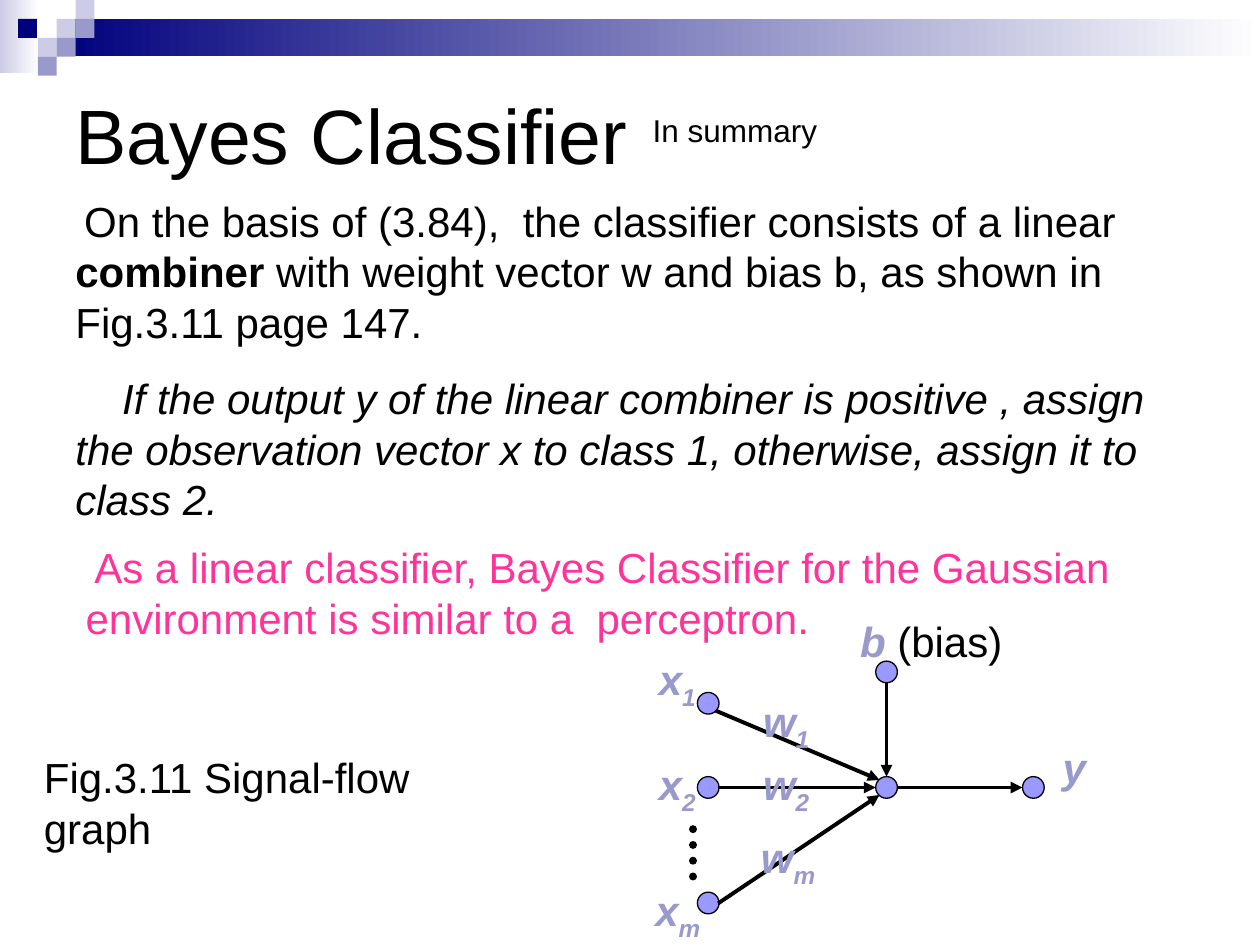
from lxml import etree
from pptx import Presentation
from pptx.dml.color import RGBColor
from pptx.enum.dml import MSO_LINE
from pptx.enum.shapes import MSO_CONNECTOR, MSO_SHAPE
from pptx.enum.text import MSO_ANCHOR, PP_ALIGN
from pptx.oxml.ns import qn
from pptx.util import Pt

STRAIGHT = MSO_CONNECTOR.STRAIGHT
RECTANGLE, OVAL = MSO_SHAPE.RECTANGLE, MSO_SHAPE.OVAL
DOTTED = MSO_LINE.ROUND_DOT
LEFT, CENTER = PP_ALIGN.LEFT, PP_ALIGN.CENTER
TOP, MIDDLE = MSO_ANCHOR.TOP, MSO_ANCHOR.MIDDLE

FONT = "Arial"
BLACK, WHITE, PINK = "000000", "FFFFFF", "FF3399"
NAVY, LAVENDER, PALE, NODE_BLUE = "00007D", "9999CC", "CCCCE6", "9999FF"

SQUARE = 10.8
NODE_SIZE = 12.4
LABEL_SLACK = 4
SQUARES = [
    (32.4, 10.8, PALE), (43.2, 0, PALE), (43.2, 10.8, LAVENDER),
    (21.6, 21.6, PALE), (10.3, 10.8, NAVY), (32.4, 21.6, LAVENDER),
    (21.6, 32.4, LAVENDER),
]
NODES = [(398.5, 395.7), (398.5, 509.8), (398.5, 443.8),
         (500.4, 443.8), (500.4, 377.8), (584.3, 443.8)]
ARROWS = [
    (410.4, 516.2, 502.6, 454.3), (410.4, 450, 500.4, 450),
    (409, 406.1, 502.6, 445.7), (506.6, 390.2, 506.6, 443.8),
    (512.6, 450, 584.3, 450),
]
SUBSCRIPTED = [
    ("x", "1", 369.4, 369.8, 35.3), ("x", "2", 369.4, 429.8, 35.3),
    ("x", "m", 367.2, 501.8, 40.3), ("w", "2", 429.1, 429.8, 40.3),
    ("w", "1", 429.1, 393.8, 40.3), ("w", "m", 427.7, 471.6, 45.4),
]


def color(value):
    return RGBColor.from_string(value)


def add_span(para, text, size=24, fill=BLACK, bold=False, italic=False, subscript=False):
    span = para.add_run()
    span.text = text
    font = span.font
    font.name, font.size, font.bold, font.italic = FONT, Pt(size), bold, italic
    font.color.rgb = color(fill)
    if subscript:
        font._element.set("baseline", "-25000")


def format_para(para, size=None, align=LEFT, before=0, indent=0):
    para.alignment = align
    para.space_before = Pt(before)
    if size:
        para.line_spacing = Pt(size * 1.2)
    if indent:
        properties = para._p.get_or_add_pPr()
        properties.set("marL", "0")
        properties.set("indent", str(Pt(indent)))


def add_box(page, left, top, width, height, wrap=True, anchor=TOP):
    box = page.shapes.add_textbox(Pt(left), Pt(top), Pt(width), Pt(height))
    box.text_frame.word_wrap = wrap
    box.text_frame.vertical_anchor = anchor
    return box.text_frame


def add_text(page, text, left, top, width, height, size=24, fill=BLACK, indent=0):
    para = add_box(page, left, top, width, height).paragraphs[0]
    format_para(para, size, indent=indent)
    add_span(para, text, size, fill)


def add_label(page, left, top, width, height, size=None):
    frame = add_box(page, left - LABEL_SLACK, top, width + 2 * LABEL_SLACK, height, False, MIDDLE)
    para = frame.paragraphs[0]
    format_para(para, size, CENTER)
    return para


def add_shape(page, kind, left, top, width, height, fill, outline=None, fade=False):
    shape = page.shapes.add_shape(kind, Pt(left), Pt(top), Pt(width), Pt(height))
    shape.shadow.inherit = False
    if fade:
        shape.fill.gradient()
        shape.fill.gradient_angle = 0
        for stop, value in zip(shape.fill.gradient_stops, (fill, WHITE)):
            stop.color.rgb = color(value)
    else:
        shape.fill.solid()
        shape.fill.fore_color.rgb = color(fill)
    if outline:
        shape.line.color.rgb = color(outline)
        shape.line.width = Pt(0.75)
    else:
        shape.line.fill.background()


def add_line(page, start_x, start_y, end_x, end_y, width=2.25, dotted=False):
    line = page.shapes.add_connector(STRAIGHT, Pt(start_x), Pt(start_y), Pt(end_x), Pt(end_y))
    line.line.color.rgb = color(BLACK)
    line.line.width = Pt(width)
    outline = line.line._get_or_add_ln()
    if dotted:
        line.line.dash_style = DOTTED
        outline.set("cap", "rnd")
    else:
        etree.SubElement(outline, qn("a:tailEnd"), type="triangle")
    etree.SubElement(line._element.spPr, qn("a:effectLst"))


def add_title(page):
    title = page.shapes.title
    title.left, title.top, title.width, title.height = Pt(36), Pt(36), Pt(648), Pt(80.6)
    title.text_frame.vertical_anchor = MIDDLE
    para = title.text_frame.paragraphs[0]
    format_para(para, 44)
    add_span(para, "Bayes Classifier", 44)


def add_decoration(page):
    add_shape(page, RECTANGLE, 0, 0, 22.3, 41.8, PALE, fade=True)
    add_shape(page, RECTANGLE, 32.4, 10.8, 687.6, 21.4, NAVY, fade=True)
    for left, top, fill in SQUARES:
        add_shape(page, RECTANGLE, left, top, SQUARE, SQUARE, fill)


def add_explanation(page):
    frame = add_box(page, 36, 108, 642.2, 195.1)
    basis = frame.paragraphs[0]
    format_para(basis, 24, indent=5)
    add_span(basis, "On the basis of (3.84),  the classifier consists of a linear")
    add_span(basis, " combiner", bold=True)
    add_span(basis, " with weight vector w and bias b, as shown in Fig.3.11 page 147.")
    rule = frame.add_paragraph()
    format_para(rule, 24, before=15, indent=26.7)
    add_span(rule, "If the output y of the linear combiner is positive , assign the "
             "observation vector x to class 1, otherwise, assign it to class 2.", italic=True)
    add_text(page, "As a linear classifier, Bayes Classifier for the Gaussian environment "
             "is similar to a  perceptron.", 41.8, 306, 653.8, 64.8, fill=PINK, indent=5)


def add_signal_flow(page):
    add_line(page, 396, 473.8, 396, 509.8, 4.5, dotted=True)
    for left, top in NODES:
        add_shape(page, OVAL, left, top, NODE_SIZE, NODE_SIZE, NODE_BLUE, BLACK)
    for arrow in ARROWS:
        add_line(page, *arrow)
    marked = {"fill": LAVENDER, "bold": True, "italic": True}
    for letter, index, left, top, width in SUBSCRIPTED:
        para = add_label(page, left, top, width, 40.3)
        add_span(para, letter, **marked)
        add_span(para, index, subscript=True, **marked)
    bias = add_label(page, 484.3, 348.1, 95.6, 36, 24)
    add_span(bias, "b ", **marked)
    add_span(bias, "(bias)")
    add_span(add_label(page, 600.2, 420.1, 27.4, 36, 24), "y", **marked)


def main():
    deck = Presentation()
    deck.slide_width, deck.slide_height = Pt(720), Pt(540)
    page = deck.slides.add_slide(deck.slide_layouts[5])
    add_decoration(page)
    add_title(page)
    add_text(page, "In summary", 365.8, 59.8, 270, 28.8, size=18)
    add_explanation(page)
    add_signal_flow(page)
    add_text(page, "Fig.3.11 Signal-flow graph", 18, 426.2, 246.2, 64.8)
    deck.save("out.pptx")


if __name__ == "__main__":
    main()
